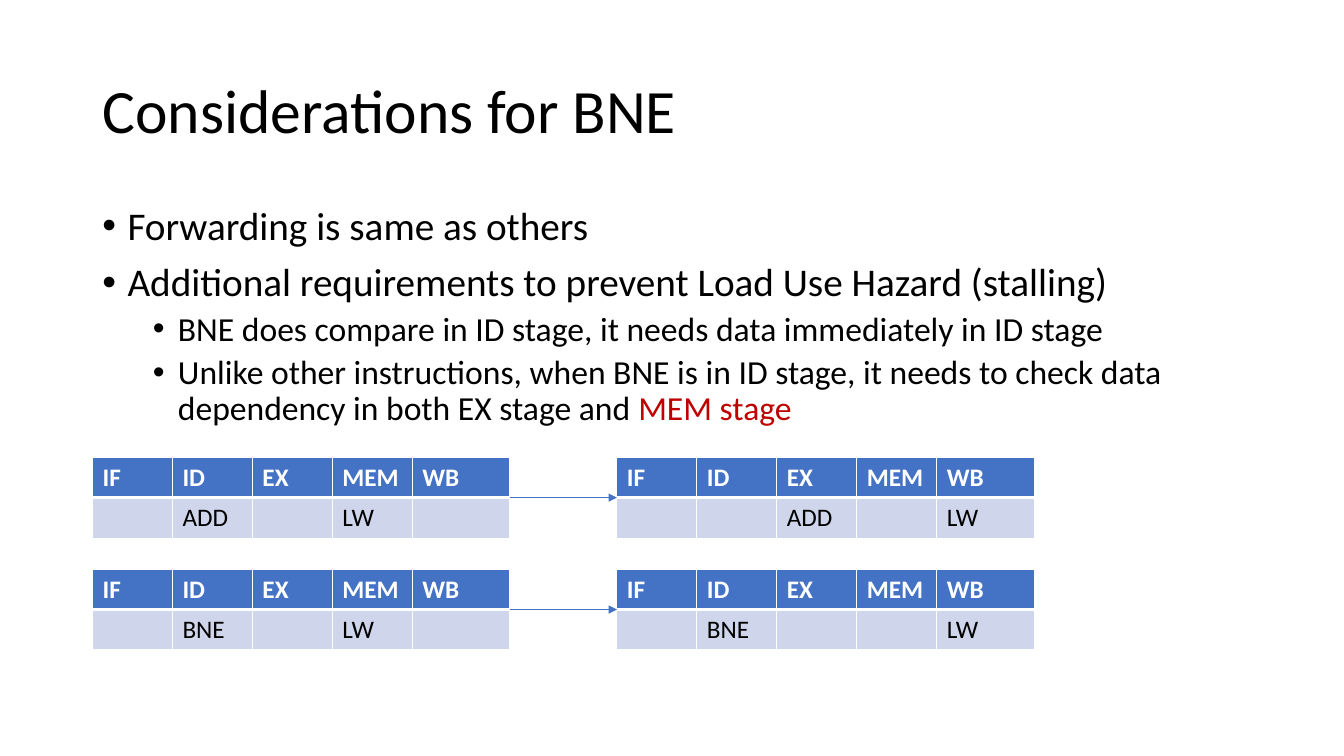
"""Build a slide on the stalling rules of the BNE instruction in a pipeline."""
from dataclasses import dataclass

from lxml import etree
from pptx import Presentation
from pptx import util as u
from pptx.dml.color import RGBColor
from pptx.enum import shapes, text
from pptx.oxml import ns

SLIDE_WIDTH, SLIDE_HEIGHT = u.Inches(13.333), u.Inches(7.5)


@dataclass(frozen=True)
class Theme:
    font: str = "Calibri"
    title_size: int = 44
    level_sizes: tuple[int, ...] = (28, 24)
    level_gaps: tuple[int, ...] = (10, 5)
    cell_size: int = 18
    line_spacing: float = 0.9
    arrow_width: float = 0.5
    thin_border: int = 1
    thick_border: int = 3
    ink: str = "000000"
    paper: str = "FFFFFF"
    accent: str = "4472C4"
    band: str = "CFD5EA"
    alert: str = "C00000"


@dataclass(frozen=True)
class Area:
    """A place on the slide, in percent of its width and height."""
    left: float
    top: float
    width: float
    height: float

    def lengths(self) -> tuple[int, int, int, int]:
        return across(self.left), down(self.top), across(self.width), down(self.height)


@dataclass(frozen=True)
class Span:
    words: str
    color: str


@dataclass(frozen=True)
class Bullet:
    level: int
    spans: tuple[Span, ...]


@dataclass(frozen=True)
class Step:
    """The instructions in the pipeline before and after one cycle."""
    top: float
    before: dict[str, str]
    after: dict[str, str]


THEME = Theme()
TITLE_AREA = Area(6.88, 5.33, 86.25, 19.33)
BODY_AREA = Area(6.88, 26.67, 86.25, 63.4)
BEFORE_LEFT, AFTER_LEFT = 6.88, 45.9
STAGE_WIDTHS = {"IF": 5.95, "ID": 5.95, "EX": 5.95, "MEM": 5.95, "WB": 7.27}
ROW_HEIGHT = 5.36

BULLETS = (
    Bullet(0, (Span("Forwarding is same as others", THEME.ink),)),
    Bullet(0, (Span("Additional requirements to prevent Load Use Hazard (stalling)", THEME.ink),)),
    Bullet(1, (Span("BNE does compare in ID stage, it needs data immediately in ID stage", THEME.ink),)),
    Bullet(1, (Span("Unlike other instructions, when BNE is in ID stage, it needs to check data "
                    "dependency in both EX stage and ", THEME.ink),
               Span("MEM stage", THEME.alert))),
)
STEPS = (
    Step(60.46, {"ID": "ADD", "MEM": "LW"}, {"EX": "ADD", "WB": "LW"}),
    Step(75.27, {"ID": "BNE", "MEM": "LW"}, {"ID": "BNE", "WB": "LW"}),
)


def across(percent: float) -> int:
    return round(SLIDE_WIDTH * percent / 100)


def down(percent: float) -> int:
    return round(SLIDE_HEIGHT * percent / 100)


def add_run(paragraph, span: Span, size: int, bold: bool = False) -> None:
    run = paragraph.add_run()
    run.text = span.words
    run.font.name = THEME.font
    run.font.size = u.Pt(size)
    run.font.bold = bold
    run.font.color.rgb = RGBColor.from_string(span.color)


def add_text_frame(slide, area: Area, anchor: text.MSO_ANCHOR):
    frame = slide.shapes.add_textbox(*area.lengths()).text_frame
    frame.word_wrap = True
    frame.vertical_anchor = anchor
    return frame


def add_title(slide, words: str) -> None:
    paragraph = add_text_frame(slide, TITLE_AREA, text.MSO_ANCHOR.MIDDLE).paragraphs[0]
    paragraph.line_spacing = THEME.line_spacing
    add_run(paragraph, Span(words, THEME.ink), THEME.title_size)


def add_bullets(slide, bullets: tuple[Bullet, ...]) -> None:
    frame = add_text_frame(slide, BODY_AREA, text.MSO_ANCHOR.TOP)
    for index, bullet in enumerate(bullets):
        paragraph = frame.add_paragraph() if index else frame.paragraphs[0]
        paragraph.level = bullet.level
        paragraph.line_spacing = THEME.line_spacing
        paragraph.space_before = u.Pt(THEME.level_gaps[bullet.level])
        properties = paragraph._p.get_or_add_pPr()
        properties.set("marL", str(u.Inches(0.25 + 0.5 * bullet.level)))
        properties.set("indent", str(u.Inches(-0.25)))
        etree.SubElement(properties, ns.qn("a:buFont"), typeface="Arial")
        etree.SubElement(properties, ns.qn("a:buChar"), char="•")
        for span in bullet.spans:
            add_run(paragraph, span, THEME.level_sizes[bullet.level])


def style_cell(cell, words: str, header: bool) -> None:
    thick_side = "lnB" if header else "lnT"
    for side in ("lnL", "lnR", "lnT", "lnB"):
        points = THEME.thick_border if side == thick_side else THEME.thin_border
        border = etree.SubElement(cell._tc.get_or_add_tcPr(), ns.qn(f"a:{side}"), w=str(u.Pt(points)))
        fill = etree.SubElement(border, ns.qn("a:solidFill"))
        etree.SubElement(fill, ns.qn("a:srgbClr"), val=THEME.paper)
    cell.fill.solid()
    cell.fill.fore_color.rgb = RGBColor.from_string(THEME.accent if header else THEME.band)
    if words:
        span = Span(words, THEME.paper if header else THEME.ink)
        add_run(cell.text_frame.paragraphs[0], span, THEME.cell_size, header)


def add_pipeline(slide, left: float, top: float, instructions: dict[str, str]):
    area = Area(left, top, sum(STAGE_WIDTHS.values()), 2 * ROW_HEIGHT)
    shape = slide.shapes.add_table(2, len(STAGE_WIDTHS), *area.lengths())
    table = shape.table
    table.horz_banding = False
    for row in table.rows:
        row.height = down(ROW_HEIGHT)
    for index, (stage, width) in enumerate(STAGE_WIDTHS.items()):
        table.columns[index].width = across(width)
        style_cell(table.cell(0, index), stage, True)
        style_cell(table.cell(1, index), instructions.get(stage, ""), False)
    return shape


def add_arrow(slide, source, target) -> None:
    arrow = slide.shapes.add_connector(shapes.MSO_CONNECTOR.STRAIGHT, 0, 0, 0, 0)
    arrow.begin_connect(source, 3)
    arrow.end_connect(target, 1)
    arrow.line.color.rgb = RGBColor.from_string(THEME.accent)
    arrow.line.width = u.Pt(THEME.arrow_width)
    etree.SubElement(arrow.line._get_or_add_ln(), ns.qn("a:tailEnd"), type="triangle")
    etree.SubElement(arrow._element.spPr, ns.qn("a:effectLst"))


def main() -> None:
    presentation = Presentation()
    presentation.slide_width, presentation.slide_height = SLIDE_WIDTH, SLIDE_HEIGHT
    slide = presentation.slides.add_slide(presentation.slide_layouts[6])
    add_title(slide, "Considerations for BNE")
    add_bullets(slide, BULLETS)
    for step in STEPS:
        before = add_pipeline(slide, BEFORE_LEFT, step.top, step.before)
        after = add_pipeline(slide, AFTER_LEFT, step.top, step.after)
        add_arrow(slide, before, after)
    presentation.save("out.pptx")


if __name__ == "__main__":
    main()
